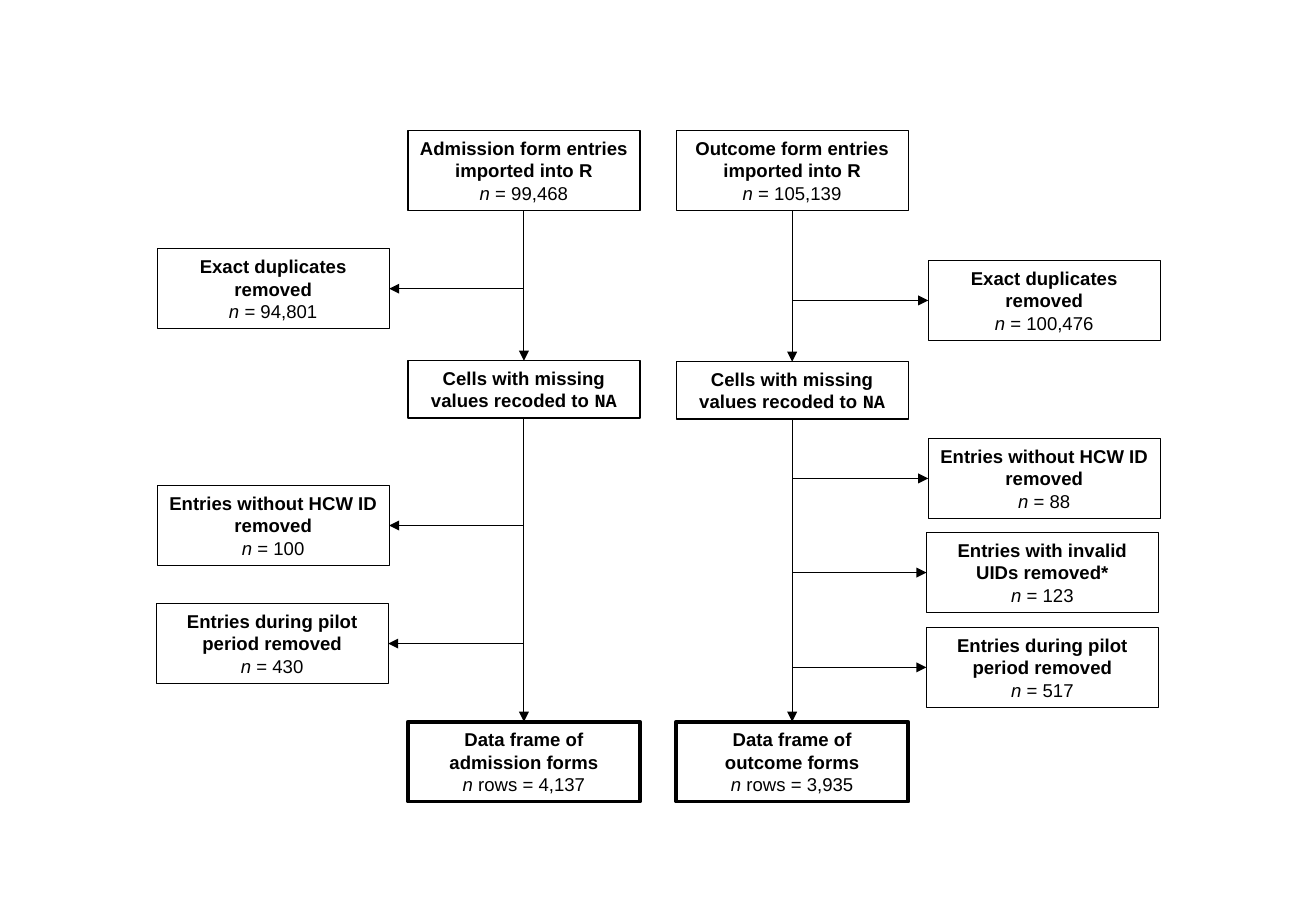
import pptx
import pptx.util
import pptx.dml.color
import pptx.enum.shapes
import pptx.enum.text
from dataclasses import dataclass
from lxml import etree

Pt = pptx.util.Pt


@dataclass(frozen=True)
class Theme:
    ink: pptx.dml.color.RGBColor = pptx.dml.color.RGBColor(0, 0, 0)
    font: str = "Arial"
    code_font: str = "Courier New"
    size: float = 11
    outline: float = 0.75
    result_outline: float = 2.25
    arrow: float = 0.5


theme = Theme()

BOLD, ITALIC, PLAIN, CODE = "bold", "italic", "plain", "code"
RECODED = [[("Cells with missing values recoded to ", BOLD), ("NA", CODE)]]


def counted(*headings, count):
    return [[(heading, BOLD)] for heading in headings] + [[("n", ITALIC), (count, PLAIN)]]


flows = [
    {
        "left": 241.8,
        "removed_side": -1,
        "imported": counted("Admission form entries imported into R", count=" = 99,468"),
        "recoded_top": 213.8,
        "result": counted("Data frame of admission forms", count=" rows = 4,137"),
        "removed": [
            (93.2, 147.4, counted("Exact duplicates removed", count=" = 94,801")),
            (93.2, 287.8, counted("Entries without HCW ID removed", count=" = 100")),
            (92.6, 357.8, counted("Entries during pilot period removed", count=" = 430")),
        ],
    },
    {
        "left": 400.8,
        "removed_side": 1,
        "imported": counted("Outcome form entries imported into R", count=" = 105,139"),
        "recoded_top": 214.4,
        "result": counted("Data frame of", "outcome forms", count=" rows = 3,935"),
        "removed": [
            (550.2, 154.4, counted("Exact duplicates removed", count=" = 100,476")),
            (550.2, 259.9, counted("Entries without HCW ID removed", count=" = 88")),
            (549.1, 315.7, counted("Entries with invalid UIDs removed*", count=" = 123")),
            (549.1, 371.9, counted("Entries during pilot period removed", count=" = 517")),
        ],
    },
]

BOX_WIDTH, BOX_HEIGHT, RECODED_HEIGHT = 137.5, 47.4, 34
IMPORTED_TOP, RESULT_TOP = 77.4, 427.8

deck = pptx.Presentation()
deck.slide_width, deck.slide_height = Pt(780), Pt(540)
slide = deck.slides.add_slide(deck.slide_layouts[6])


def add_box(left, top, lines, height=BOX_HEIGHT, outline=theme.outline):
    box = slide.shapes.add_shape(
        pptx.enum.shapes.MSO_SHAPE.RECTANGLE, Pt(left), Pt(top), Pt(BOX_WIDTH), Pt(height))
    box.shadow.inherit = False
    box.fill.background()
    box.line.color.rgb = theme.ink
    box.line.width = Pt(outline)
    frame = box.text_frame
    frame.word_wrap = True
    frame.vertical_anchor = pptx.enum.text.MSO_ANCHOR.MIDDLE
    for index, line in enumerate(lines):
        paragraph = frame.add_paragraph() if index else frame.paragraphs[0]
        paragraph.alignment = pptx.enum.text.PP_ALIGN.CENTER
        for words, style in line:
            run = paragraph.add_run()
            run.text = words
            run.font.name = theme.code_font if style == CODE else theme.font
            run.font.size = Pt(theme.size)
            run.font.bold = style in (BOLD, CODE)
            run.font.italic = style == ITALIC
            run.font.color.rgb = theme.ink


def add_arrow(start_x, start_y, end_x, end_y):
    arrow = slide.shapes.add_connector(
        pptx.enum.shapes.MSO_CONNECTOR.STRAIGHT, Pt(start_x), Pt(start_y), Pt(end_x), Pt(end_y))
    arrow.line.color.rgb = theme.ink
    arrow.line.width = Pt(theme.arrow)
    outline = arrow.line._get_or_add_ln()
    etree.SubElement(outline, pptx.oxml.ns.qn("a:tailEnd"), type="triangle")
    etree.SubElement(arrow._element.spPr, pptx.oxml.ns.qn("a:effectLst"))


for flow in flows:
    left, recoded_top = flow["left"], flow["recoded_top"]
    center = left + BOX_WIDTH / 2
    add_box(left, IMPORTED_TOP, flow["imported"])
    add_box(left, recoded_top, RECODED, height=RECODED_HEIGHT)
    add_box(left, RESULT_TOP, flow["result"], outline=theme.result_outline)
    add_arrow(center, IMPORTED_TOP + BOX_HEIGHT, center, recoded_top)
    add_arrow(center, recoded_top + RECODED_HEIGHT, center, RESULT_TOP)
    for removed_left, top, lines in flow["removed"]:
        add_box(removed_left, top, lines)
        near_edge = removed_left + (BOX_WIDTH if flow["removed_side"] < 0 else 0)
        middle = top + BOX_HEIGHT / 2
        add_arrow(center, middle, near_edge, middle)

deck.save("out.pptx")
